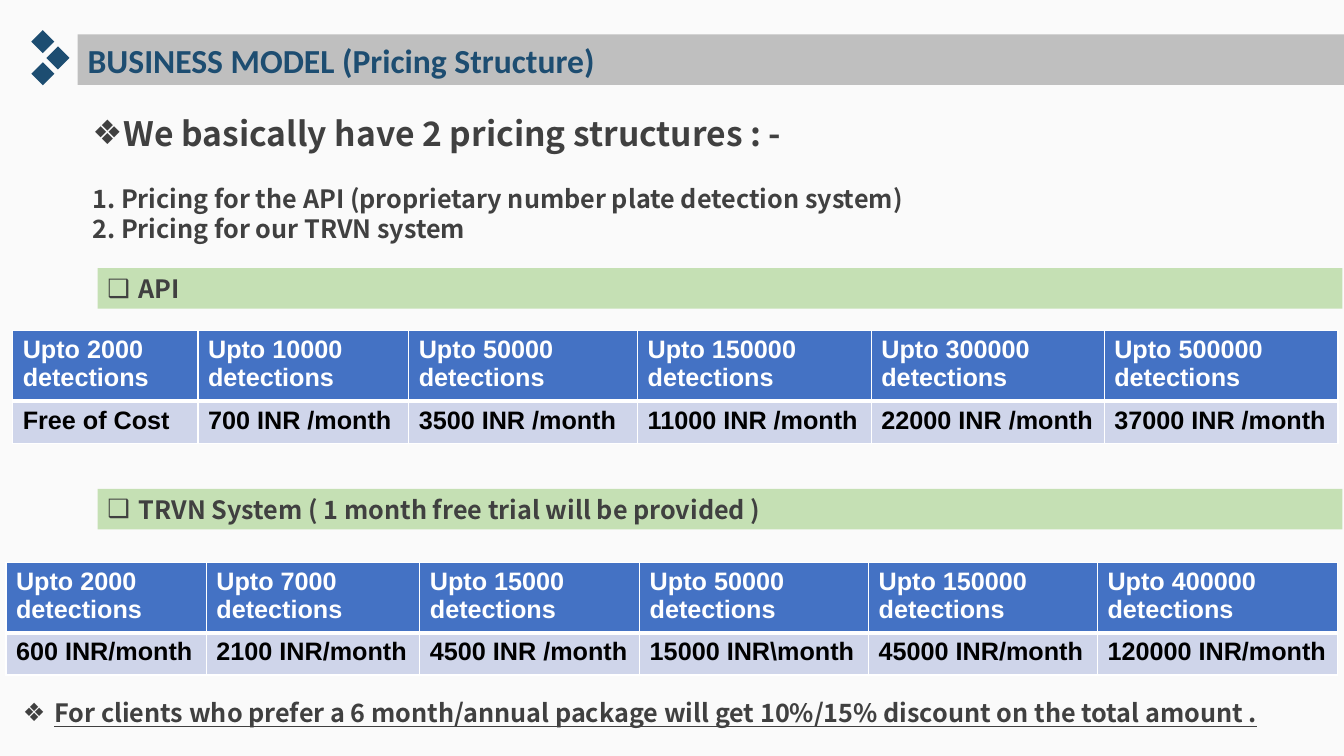
"""Build the business model slide with its two pricing tables."""
from lxml import etree
from pptx import Presentation
from pptx import util as u
from pptx.dml.color import RGBColor
from pptx.enum import shapes, text
from pptx.oxml import ns

NAVY = RGBColor(0x1D, 0x4D, 0x71)
GREY = RGBColor(0xBF, 0xBF, 0xBF)
GREEN = RGBColor(0xC5, 0xE0, 0xB4)
INK = RGBColor(0x40, 0x40, 0x40)
PAPER = RGBColor(0xFA, 0xFA, 0xFA)
HEADER_BLUE = RGBColor(0x44, 0x72, 0xC4)
PRICE_BLUE = RGBColor(0xCF, 0xD5, 0xEA)
WHITE = RGBColor(0xFF, 0xFF, 0xFF)
BLACK = RGBColor(0, 0, 0)

TITLE_FONT, BODY_FONT, TABLE_FONT = "Calibri", "Noto Sans CJK SC", "Arial"
HANG = u.Cm(0.79)


class PricingSlide:
    """Holds the slide and draws its elements in one style."""

    def __init__(self, slide):
        self.slide = slide
        slide.background.fill.solid()
        slide.background.fill.fore_color.rgb = PAPER

    def run(self, paragraph, words, font, colour, size=18, underline=None):
        paragraph.alignment = text.PP_ALIGN.LEFT
        run = paragraph.add_run()
        run.text = words
        run.font.name, run.font.size = font, u.Pt(size)
        run.font.bold, run.font.underline = True, underline
        run.font.color.rgb = colour

    def line(self, paragraph, words, bullet=None, size=18, before=0, underline=None):
        paragraph.line_spacing = u.Pt(1.2 * size)
        paragraph.space_before = u.Pt(before)
        if bullet:
            properties = paragraph._p.get_or_add_pPr()
            properties.set("marL", str(HANG))
            properties.set("indent", str(-HANG))
            etree.SubElement(properties, ns.qn("a:buFont")).set("typeface", TABLE_FONT)
            etree.SubElement(properties, ns.qn("a:buChar")).set("char", bullet)
        self.run(paragraph, words, BODY_FONT, INK, size, underline)

    def shape(self, kind, left, top, width, height, fill):
        shape = self.slide.shapes.add_shape(
            kind, u.Cm(left), u.Cm(top), u.Cm(width), u.Cm(height))
        shape.shadow.inherit = False
        shape.fill.solid()
        shape.fill.fore_color.rgb = fill
        shape.line.fill.background()
        return shape

    def bar(self, left, top, width, height, fill):
        bar = self.shape(shapes.MSO_SHAPE.RECTANGLE, left, top, width, height, fill)
        return self.frame(bar)

    def textbox(self, left, top, width, height):
        return self.frame(self.slide.shapes.add_textbox(
            u.Cm(left), u.Cm(top), u.Cm(width), u.Cm(height)))

    def frame(self, holder):
        frame = holder.text_frame
        frame.word_wrap = True
        frame.auto_size = text.MSO_AUTO_SIZE.SHAPE_TO_FIT_TEXT
        return frame

    def section(self, top, heading):
        bar = self.bar(2.46, top, 31.37, 1.02, GREEN)
        self.line(bar.paragraphs[0], heading, "❑")

    def divider(self, cell, side):
        edge = etree.SubElement(cell._tc.get_or_add_tcPr(), ns.qn(side))
        edge.set("w", str(u.Pt(3)))
        fill = etree.SubElement(edge, ns.qn("a:solidFill"))
        etree.SubElement(fill, ns.qn("a:srgbClr")).set("val", str(WHITE))

    def price_table(self, left, top, widths, tiers, prices):
        table = self.slide.shapes.add_table(
            2, len(widths), u.Cm(left), u.Cm(top),
            u.Cm(sum(widths)), u.Cm(2.84)).table
        for column, width in zip(table.columns, widths):
            column.width = u.Cm(width)
        looks = ((tiers, 1.78, HEADER_BLUE, WHITE, "a:lnB"),
                 (prices, 1.06, PRICE_BLUE, BLACK, "a:lnT"))
        for row, (entries, height, fill, colour, side) in zip(table.rows, looks):
            row.height = u.Cm(height)
            for cell, entry in zip(row.cells, entries):
                self.divider(cell, side)
                cell.fill.solid()
                cell.fill.fore_color.rgb = fill
                for index, words in enumerate(entry.split("\n")):
                    frame = cell.text_frame
                    paragraph = frame.add_paragraph() if index else frame.paragraphs[0]
                    self.run(paragraph, words, TABLE_FONT, colour)


def main():
    deck = Presentation()
    deck.slide_width, deck.slide_height = u.Cm(33.87), u.Cm(19.05)
    page = PricingSlide(deck.slides.add_slide(deck.slide_layouts[6]))

    for left, top in ((0.79, 0.76), (0.79, 1.57), (1.17, 1.17)):
        page.shape(shapes.MSO_SHAPE.DIAMOND, left, top, 0.58, 0.58, NAVY)
    title = page.bar(1.96, 0.87, 31.91, 1.27, GREY)
    page.run(title.paragraphs[0], "BUSINESS MODEL (Pricing Structure)",
             TITLE_FONT, NAVY, 24)

    intro = page.textbox(2.08, 2.72, 31.29, 3.58)
    page.line(intro.paragraphs[0], "We basically have 2 pricing structures : -", "❖", 24)
    page.line(intro.add_paragraph(),
              "1. Pricing for the API (proprietary number plate detection system)",
              before=21.6)
    page.line(intro.add_paragraph(), "2. Pricing for our TRVN system")

    page.section(6.76, "API")
    page.price_table(
        0.32, 8.33, (4.67, 5.31, 5.77, 5.89, 5.87, 5.89),
        ("Upto 2000 detections", "Upto 10000 detections", "Upto 50000 detections",
         "Upto 150000\ndetections", "Upto 300000\ndetections",
         "Upto 500000\ndetections"),
        ("Free of Cost", "700 INR /month", "3500 INR /month",
         "11000 INR /month", "22000 INR /month", "37000 INR /month"))

    page.section(12.32, "TRVN System ( 1 month free trial will be provided )")
    page.price_table(
        0.15, 14.17, (5.05, 5.38, 5.54, 5.77, 5.77, 6.05),
        ("Upto 2000 detections", "Upto 7000\ndetections", "Upto 15000 detections",
         "Upto 50000\ndetections", "Upto 150000\ndetections",
         "Upto 400000\ndetections"),
        ("600 INR/month", "2100 INR/month", "4500 INR /month",
         "15000 INR\\month", "45000 INR/month", "120000 INR/month"))

    discount = page.textbox(0.33, 17.45, 33.4, 1.02)
    page.line(discount.paragraphs[0],
              "For clients who prefer a 6 month/annual package will get 10%/15% "
              "discount on the total amount .", "❖", underline=True)
    deck.save("out.pptx")


if __name__ == "__main__":
    main()
